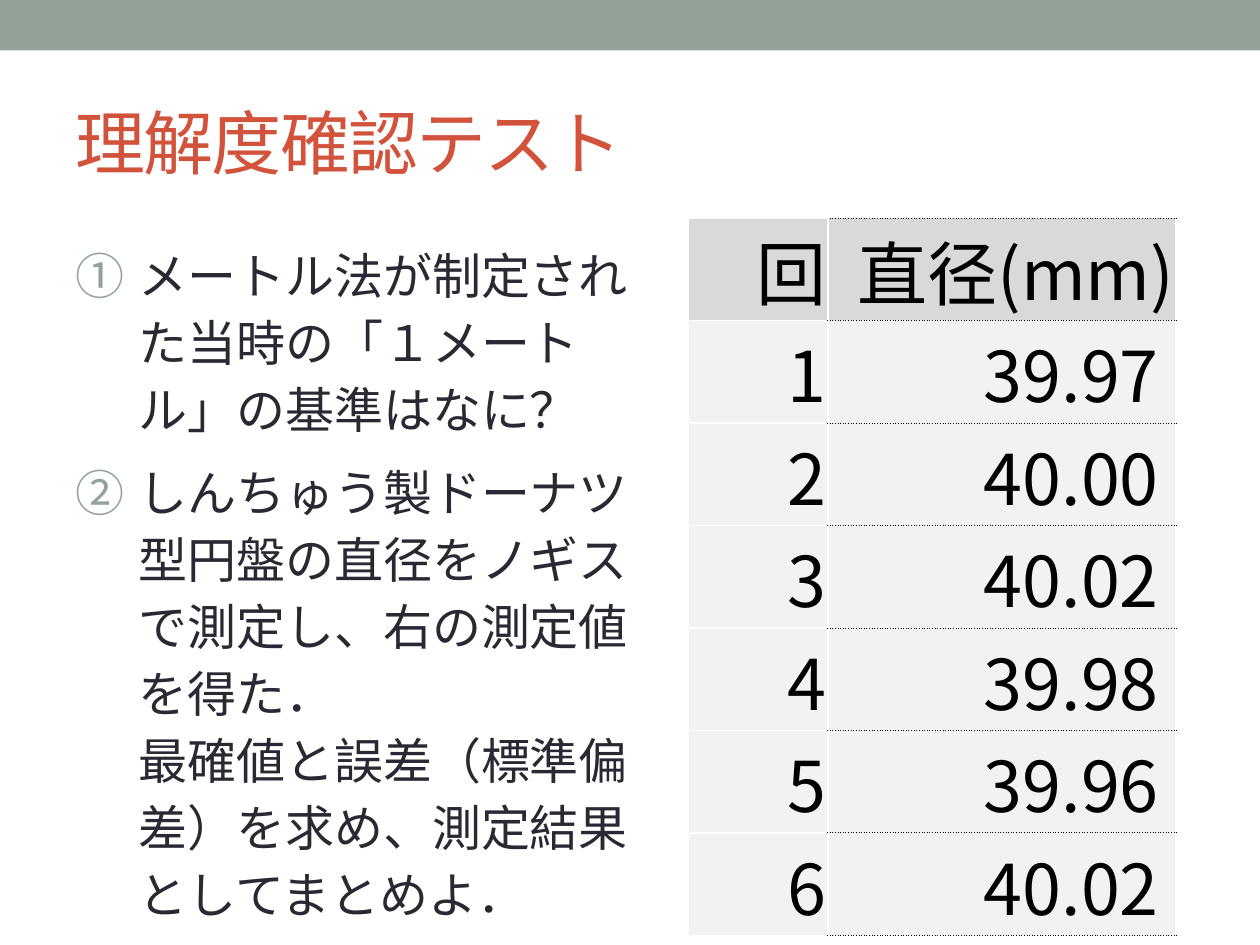
from dataclasses import dataclass

from lxml import etree
from pptx import Presentation
from pptx.dml.color import RGBColor
from pptx.enum.shapes import MSO_SHAPE
from pptx.enum.text import MSO_ANCHOR, MSO_AUTO_SIZE, PP_ALIGN
from pptx.oxml.ns import qn
from pptx.util import Inches, Pt

RECT = MSO_SHAPE.RECTANGLE
MIDDLE, TOP, BOTTOM = MSO_ANCHOR.MIDDLE, MSO_ANCHOR.TOP, MSO_ANCHOR.BOTTOM
LEFT, RIGHT = PP_ALIGN.LEFT, PP_ALIGN.RIGHT
NO_FIT = MSO_AUTO_SIZE.NONE

SAGE = RGBColor(0x93, 0xA2, 0x99)
RED = RGBColor(0xD2, 0x53, 0x3C)
INK = RGBColor(0x29, 0x29, 0x34)
BLACK = RGBColor(0, 0, 0)
HEAD = RGBColor(0xD9, 0xD9, 0xD9)
PALE = RGBColor(0xF2, 0xF2, 0xF2)

WIDE, HIGH = Inches(10), Inches(7.5)
LATIN, CJK = "Arial", "Noto Sans CJK JP"

TASKS = [
    "メートル法が制定された当時の「１メートル」の基準はなに？",
    "しんちゅう製ドーナツ型円盤の直径をノギスで測定し、右の測定値を得た．\v"
    "最確値と誤差（標準偏差）を求め、測定結果としてまとめよ．",
]
SIZES = ["39.97", "40.00", "40.02", "39.98", "39.96", "40.02"]


@dataclass
class Box:
    """Left, top, width and height in inches."""
    x: float
    y: float
    w: float
    h: float

    def args(self) -> list:
        return [Inches(n) for n in (self.x, self.y, self.w, self.h)]


@dataclass
class Style:
    font: str
    size: int
    color: RGBColor


def paint(para, style: Style) -> None:
    for run in para.runs:
        run.font.name = style.font
        run.font.size = Pt(style.size)
        run.font.color.rgb = style.color


def place(holder, box: Box, text: str, style: Style, anchor):
    """Move a placeholder, fill it and format its text."""
    holder.left, holder.top, holder.width, holder.height = box.args()
    frame = holder.text_frame
    frame.text = text
    frame.auto_size = NO_FIT
    frame.vertical_anchor = anchor
    for para in frame.paragraphs:
        para.alignment = LEFT
        paint(para, style)
    return frame


def number(para) -> None:
    """Give a paragraph a circled number and a hanging indent."""
    para.line_spacing = 1.14
    para.space_before = Pt(9)
    props = para._p.get_or_add_pPr()
    props.set("marL", str(Inches(0.5)))
    props.set("indent", str(-Inches(0.5)))
    tint = etree.SubElement(props, qn("a:buClr"))
    etree.SubElement(tint, qn("a:srgbClr"), val=str(SAGE))
    etree.SubElement(props, qn("a:buFont"), typeface="+mj-ea")
    etree.SubElement(props, qn("a:buAutoNum"), type="circleNumDbPlain")


def edge(cell, sides: str) -> None:
    """Draw dotted borders on the given sides, ahead of the fill."""
    props = cell._tc.get_or_add_tcPr()
    for spot, side in enumerate(sides):
        line = etree.Element(qn(f"a:ln{side}"), w=str(Pt(0.5)))
        fill = etree.SubElement(line, qn("a:solidFill"))
        etree.SubElement(fill, qn("a:srgbClr"), val=str(BLACK))
        etree.SubElement(line, qn("a:prstDash"), val="sysDot")
        props.insert(spot, line)


def fill_cell(cell, text: str, style: Style, back: RGBColor) -> None:
    cell.fill.solid()
    cell.fill.fore_color.rgb = back
    cell.margin_left = cell.margin_right = cell.margin_top = Inches(0.01)
    cell.margin_bottom = 0
    cell.vertical_anchor = BOTTOM
    para = cell.text_frame.paragraphs[0]
    para.text = text
    para.alignment = RIGHT
    paint(para, style)
    for run in para.runs:
        etree.SubElement(run._r.get_or_add_rPr(), qn("a:ea"), typeface=style.font)


def add_grid(slide, box: Box, rows: list[tuple[str, str]], style: Style) -> None:
    table = slide.shapes.add_table(len(rows), 2, *box.args()).table
    table.first_row = table.horz_banding = False
    for col, wide in zip(table.columns, (1.11, 2.76)):
        col.width = Inches(wide)
    for r, row in enumerate(rows):
        for c, text in enumerate(row):
            cell = table.cell(r, c)
            fill_cell(cell, text, style, PALE if r else HEAD)
            if c:
                edge(cell, "LTB")


def main() -> None:
    deck = Presentation()
    deck.slide_width, deck.slide_height = WIDE, HIGH
    slide = deck.slides.add_slide(deck.slide_layouts[1])
    title, body = slide.placeholders

    # Band along the top
    band = slide.shapes.add_shape(RECT, 0, 0, WIDE, Inches(0.4))
    band.shadow.inherit = False
    band.fill.solid()
    band.fill.fore_color.rgb = SAGE
    band.line.fill.background()

    # Title
    frame = place(title, Box(0.5, 0.58, 9, 1.08), "理解度確認テスト",
                  Style(LATIN, 40, RED), MIDDLE)
    frame.paragraphs[0].runs[0]._r.get_or_add_rPr().set("spc", "-100")

    # Numbered tasks
    frame = place(body, Box(0.5, 1.83, 4.96, 5.16), "\n".join(TASKS),
                  Style(LATIN, 28, INK), TOP)
    for para in frame.paragraphs:
        number(para)

    # Table of measured diameters
    rows = [("回", "直径(mm)")]
    rows += [(str(n), f"{size} ") for n, size in enumerate(SIZES, 1)]
    add_grid(slide, Box(5.46, 1.73, 3.87, 4.76), rows, Style(CJK, 40, BLACK))

    deck.save("out.pptx")


if __name__ == "__main__":
    main()
